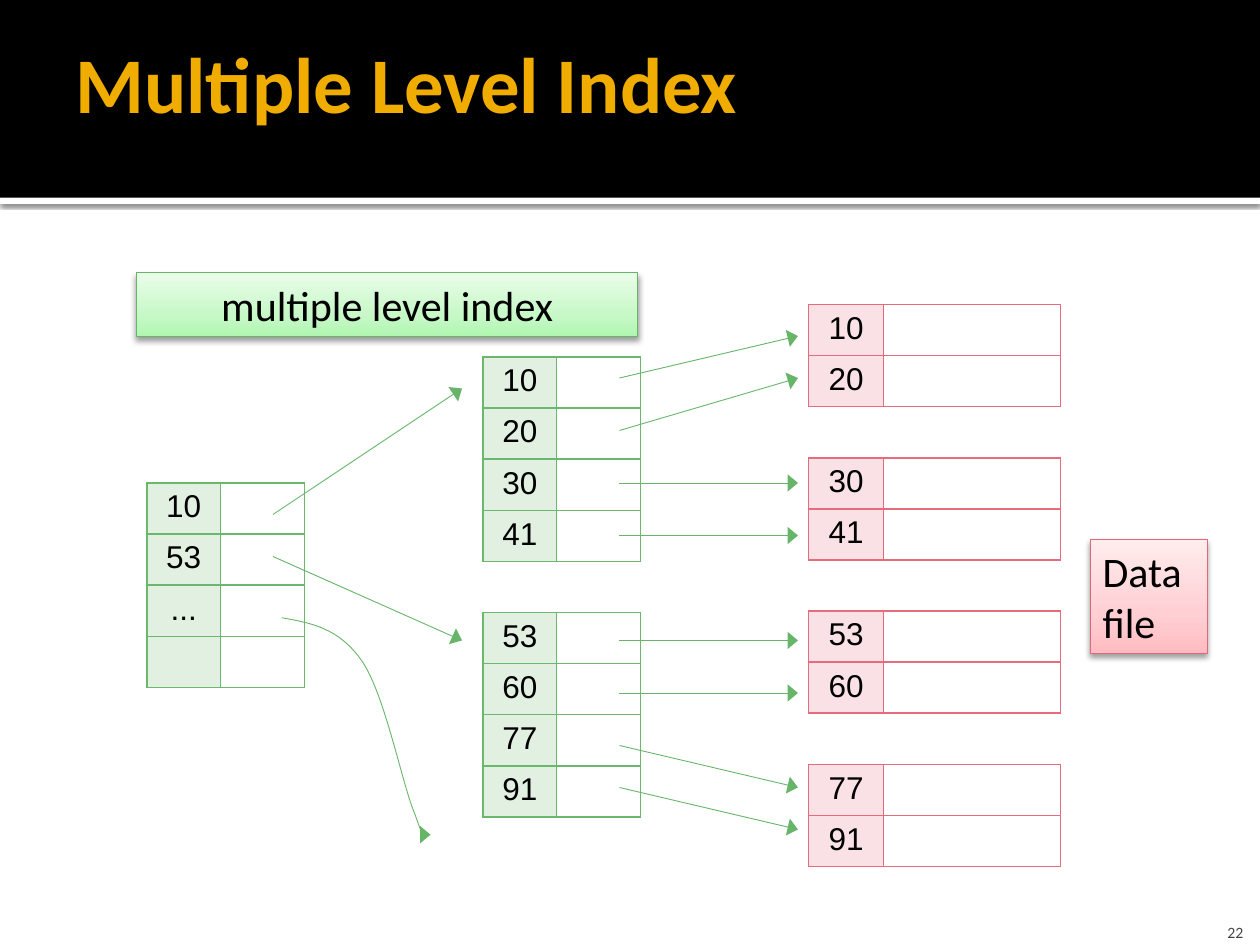
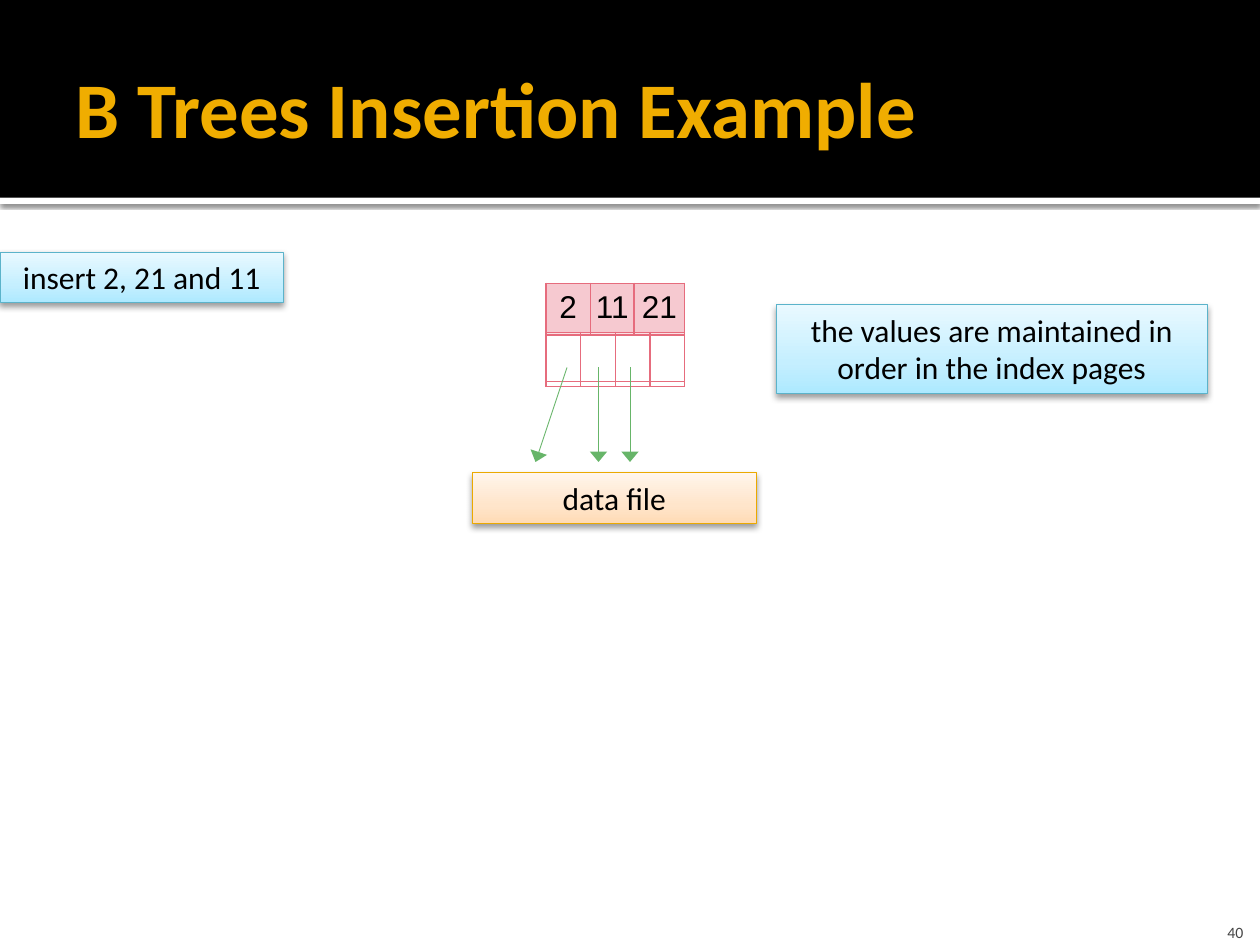
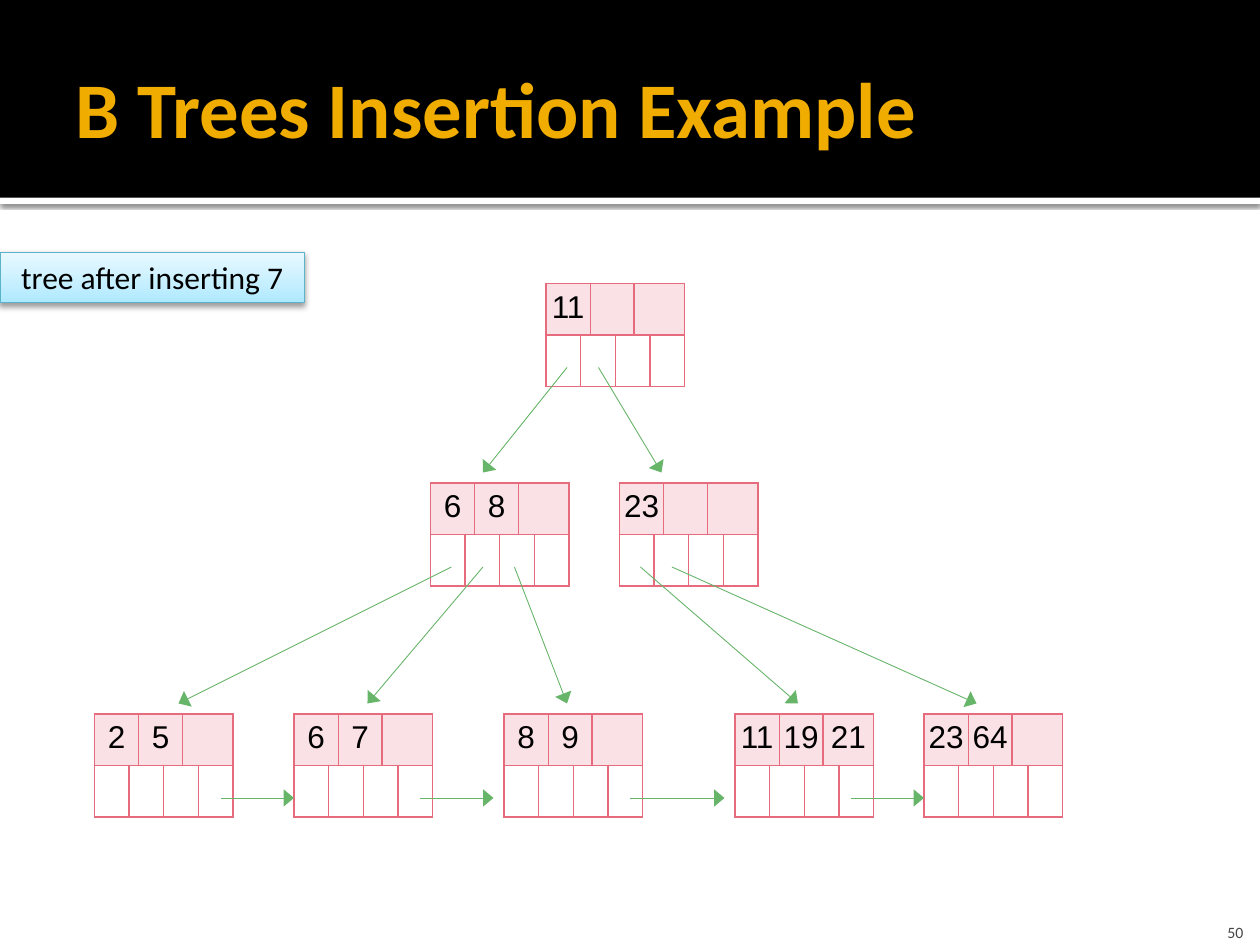
from dataclasses import dataclass
from typing import Any, Optional

from lxml.etree import SubElement
from pptx import Presentation
from pptx.dml.color import RGBColor
from pptx.enum.shapes import MSO_CONNECTOR, MSO_SHAPE
from pptx.enum.text import MSO_ANCHOR, PP_ALIGN
from pptx.oxml import parse_xml
from pptx.oxml.ns import nsdecls, qn
from pptx.util import Pt

# Shared look
HEX = {
    "white": "FFFFFF", "black": "000000", "gold": "F0AD00", "grey": "454545",
    "arrow": "67B569", "green": "6BB76D", "pink": "E66C7D",
}
# Label tones: edge, then gradient from bottom to top
TONES = {
    "green": ("67B569", "B0F6B1", "C8F8C8", "E9FDE9"),
    "pink": ("E46778", "FFBCC2", "FFCFD3", "FFEDEE"),
    "blue": ("5BB3CA", "ADE9FF", "C5EFFF", "E9F9FF"),
    "gold": ("EBA900", "FFDBB5", "FFE5CB", "FFF5EB"),
}
STOPS = (0, 35, 100)
ROW = 29.2
PAIR = (42, 48)
NODE = (19.7, 5.4, 14.3, 10.8, 9, 19.8)
KEYS = ((0, 1), (2, 3), (4, 5))
LINKS = ((0, 0), (1, 2), (3, 4), (5, 5))
CURVE = (
    (160.6, 352.8),
    (177.8, 356.4), (194.4, 359.3), (207.4, 378),
    (220.3, 396.7), (230.4, 448.6), (236.9, 465.1),
    (243.4, 481.7), (244.8, 479.5), (246.2, 477.4),
)


@dataclass
class Label:
    text: str
    box: tuple[float, float, float, float]
    tone: str
    size: float = 18
    align: PP_ALIGN = PP_ALIGN.CENTER


@dataclass
class Index:
    """A list of keys, where None leaves a gap."""
    x: float
    y: float
    keys: list[Optional[str]]
    hue: str = "green"
    cols: tuple[float, float] = PAIR


@dataclass
class Node:
    """A tree node: three keys above four links."""
    x: float
    y: float
    keys: tuple[str, ...] = ()
    row: float = 29.4


@dataclass
class Arrow:
    x1: float
    y1: float
    x2: float
    y2: float


def tint(name: str) -> RGBColor:
    return RGBColor.from_string(HEX[name])


def put(item: Any, **vals: Any) -> None:
    for name, val in vals.items():
        setattr(item, name, val)


def write(frame: Any, text: str, size: float, hue: str = "black",
          face: str = "Calibri", bold: bool = False,
          align: PP_ALIGN = PP_ALIGN.LEFT) -> None:
    line = frame.paragraphs[0]
    line.alignment = align
    run = line.add_run()
    run.text = text
    put(run.font, size=Pt(size), name=face, bold=bold)
    run.font.color.rgb = tint(hue)


def inset(item: Any, left: float, top: float, right: float, base: float) -> None:
    put(item, margin_left=Pt(left), margin_top=Pt(top),
        margin_right=Pt(right), margin_bottom=Pt(base))


def shade(shape: Any, blur: float, dist: float, alpha: int) -> None:
    shape.element.spPr.append(parse_xml(
        f'<a:effectLst {nsdecls("a")}><a:outerShdw blurRad="{Pt(blur)}" '
        f'dist="{Pt(dist)}" dir="5400000" rotWithShape="0">'
        f'<a:srgbClr val="{HEX["black"]}"><a:alpha val="{alpha * 1000}"/>'
        '</a:srgbClr></a:outerShdw></a:effectLst>'))


# Bands behind every slide, kept on the layout
def add_bands(slide: Any, layout: Any) -> None:
    for spot, (top, high, hue) in enumerate(
            [(113, 3.6, "white"), (0, 113, "black")], start=2):
        band = slide.shapes.add_shape(
            MSO_SHAPE.RECTANGLE, 0, Pt(top), Pt(720), Pt(high))
        band.fill.solid()
        band.fill.fore_color.rgb = tint(hue)
        band.line.fill.background()
        if hue == "white":
            shade(band, 2.5, 0.8, 60)
        else:
            band.shadow.inherit = False
        layout.shapes.element.insert(spot, band.element)


def add_title(slide: Any, text: str, box: tuple[float, ...]) -> None:
    title = slide.shapes.title
    left, top, wide, high = map(Pt, box)
    put(title, left=left, top=top, width=wide, height=high)
    frame = title.text_frame
    put(frame, vertical_anchor=MSO_ANCHOR.MIDDLE, word_wrap=True)
    inset(frame, 7.2, 3.6, 3.6, 3.6)
    write(frame, text, 45, "gold", bold=True)


def add_count(slide: Any, count: int) -> None:
    box = slide.shapes.add_textbox(Pt(660), Pt(516.4), Pt(57.6), Pt(21.6))
    frame = box.text_frame
    put(frame, vertical_anchor=MSO_ANCHOR.BOTTOM, word_wrap=True)
    inset(frame, 7.2, 3.6, 7.2, 0)
    write(frame, str(count), 9, "grey", align=PP_ALIGN.RIGHT)


def add_label(slide: Any, label: Label) -> None:
    shape = slide.shapes.add_shape(MSO_SHAPE.RECTANGLE, *map(Pt, label.box))
    edge, *ramp = TONES[label.tone]
    stops = "".join(
        f'<a:gs pos="{pos * 1000}"><a:srgbClr val="{hue}"/></a:gs>'
        for pos, hue in zip(STOPS, ramp))
    shape.element.spPr.append(parse_xml(
        f'<a:gradFill {nsdecls("a")} rotWithShape="1"><a:gsLst>{stops}'
        '</a:gsLst><a:lin ang="16200000" scaled="1"/></a:gradFill>'))
    shape.line.color.rgb = RGBColor.from_string(edge)
    shape.line.width = Pt(0.5)
    shade(shape, 3.5, 2, 38)
    put(shape.text_frame, word_wrap=True, vertical_anchor=MSO_ANCHOR.TOP)
    write(shape.text_frame, label.text, label.size, align=label.align)


# Tables
def add_grid(slide: Any, x: float, y: float, cols: tuple[float, ...],
             count: int, row: float = ROW) -> Any:
    frame = slide.shapes.add_table(
        count, len(cols), Pt(x), Pt(y), Pt(sum(cols)), Pt(row * count))
    grid = frame.table
    put(grid, first_row=False, horz_banding=False)
    for col, wide in zip(grid.columns, cols):
        col.width = Pt(wide)
    for line in grid.rows:
        line.height = Pt(row)
    for cell in grid.iter_cells():
        inset(cell, 1.4, 0, 1.4, 0)
    return frame


def style(cell: Any, hue: str, sides: str = "LRTB") -> None:
    props = cell._tc.get_or_add_tcPr()
    for side in "LRTB":
        ink = (f'<a:solidFill><a:srgbClr val="{HEX[hue]}"/></a:solidFill>'
               if side in sides else "<a:noFill/>")
        props.append(parse_xml(
            f'<a:ln{side} {nsdecls("a")} w="{Pt(1)}">{ink}</a:ln{side}>'))
    cell.fill.background()


def add_key(cell: Any, text: str, hue: str) -> None:
    cell.fill.solid()
    cell.fill.fore_color.rgb = tint(hue)
    clr = next(cell._tc.tcPr.find(qn("a:solidFill")).iterchildren())
    SubElement(clr, qn("a:alpha")).set("val", "20000")
    if text:
        inset(cell, 1.4, 3.6, 1.4, 3.6)
        write(cell.text_frame, text, 18, face="Arial", align=PP_ALIGN.CENTER)


def add_index(slide: Any, index: Index) -> None:
    grid = add_grid(slide, index.x, index.y, index.cols, len(index.keys)).table
    for row, key in enumerate(index.keys):
        first, last = grid.cell(row, 0), grid.cell(row, 1)
        for cell in (first, last):
            style(cell, index.hue, "TB" if key is None else "LRTB")
        if key is None:
            first.merge(last)
        else:
            add_key(first, key, index.hue)


def add_node(slide: Any, node: Node) -> None:
    frame = add_grid(slide, node.x, node.y, NODE, 2, node.row)
    frame.height = Pt(57.6)
    grid = frame.table
    for cell in grid.iter_cells():
        style(cell, "pink")
    for row, spans in enumerate((KEYS, LINKS)):
        for start, end in spans:
            if end > start:
                grid.cell(row, start).merge(grid.cell(row, end))
    for spot, (start, _) in enumerate(KEYS):
        text = node.keys[spot] if spot < len(node.keys) else ""
        add_key(grid.cell(0, start), text, "pink")


# Arrows
def point(line: Any) -> None:
    line.line.color.rgb = tint("arrow")
    line.line.width = Pt(0.5)
    tail = SubElement(line.get_or_add_ln(), qn("a:tailEnd"))
    for name, val in {"type": "triangle", "w": "lg", "len": "med"}.items():
        tail.set(name, val)
    SubElement(line.element.spPr, qn("a:effectLst"))


def add_arrow(slide: Any, arrow: Arrow) -> None:
    ends = map(Pt, (arrow.x1, arrow.y1, arrow.x2, arrow.y2))
    point(slide.shapes.add_connector(MSO_CONNECTOR.STRAIGHT, *ends))


def add_curve(slide: Any) -> None:
    pen = slide.shapes.build_freeform(*CURVE[0], scale=float(Pt(1)))
    pen.add_line_segments(CURVE[1:], close=False)
    curve = pen.convert_to_shape()
    curve.fill.background()
    # Each three line steps become one curve step
    steps = list(curve.element.iter(qn("a:lnTo")))
    for start in range(0, len(steps), 3):
        trio = steps[start:start + 3]
        bend = SubElement(trio[0].getparent(), qn("a:cubicBezTo"))
        for step in trio:
            bend.append(step[0])
            step.getparent().remove(step)
    point(curve)


DRAW = {Label: add_label, Index: add_index, Node: add_node, Arrow: add_arrow}

# Slide parts
LEVELS = [
    Label("multiple level index", (78, 156, 286.5, 36.5), "green", 24),
    Index(462, 174, ["10", "20", None, "30", "41", None, "53", "60", None,
                     "77", "91"], "pink", (43, 101)),
    Index(276, 204, ["10", "20", "30", "41", None, "53", "60", "77", "91"]),
    *[Arrow(354, start, 456, end) for start, end in (
        (216, 192), (246, 216), (276, 276), (306, 306),
        (366, 366), (396, 396), (426, 450), (450, 474))],
    Label("Data file", (623, 308.3, 67, 65.3), "pink", 24, PP_ALIGN.LEFT),
    Index(84, 276, ["10", "53", "...", ""]),
    Arrow(156, 294, 264, 222),
    Arrow(156, 318, 264, 366),
]
INSERT = [
    Node(312, 162, row=28),
    Node(312, 162, ("2", "11", "21")),
    Label("insert 2, 21 and 11", (0, 144, 162, 29), "blue"),
    *[Arrow(start, 210, end, 264)
      for start, end in ((342, 342), (360, 360), (324, 306))],
    Label("data file", (270, 270, 162, 29), "gold"),
    Label("the values are maintained in order in the index pages",
          (443.5, 174, 246.5, 51), "blue"),
]
TREE = [
    Label("tree after inserting 7", (0, 144, 174, 29), "blue"),
    Node(312, 162, ("11",)),
    Node(246, 276, ("6", "8")),
    Node(354, 276, ("23",)),
    *[Node(x, 408, keys) for x, keys in (
        (54, ("2", "5")), (168, ("6", "7")), (288, ("8", "9")),
        (420, ("11", "19", "21")), (528, ("23", "64")))],
    *[Arrow(start, 210, end, 270) for start, end in ((324, 276), (342, 378))],
    *[Arrow(start, 324, end, 402) for start, end in (
        (258, 102), (276, 210), (294, 324), (366, 456), (384, 558))],
    *[Arrow(start, 456, end, 456) for start, end in (
        (126, 168), (240, 282), (360, 414), (486, 528))],
]
TALL = (36, 11.8, 648, 98.6)
SLIDES = [
    ("Multiple Level Index", (36, 9.4, 594, 75), 22, LEVELS),
    ("B Trees Insertion Example", TALL, 40, INSERT),
    ("B Trees Insertion Example", TALL, 50, TREE),
]


def main() -> None:
    deck = Presentation()
    put(deck, slide_width=Pt(720), slide_height=Pt(540))
    layout = deck.slide_layouts.get_by_name("Title Only")
    for text, box, count, parts in SLIDES:
        slide = deck.slides.add_slide(layout)
        if len(deck.slides) == 1:
            add_bands(slide, layout)
        add_title(slide, text, box)
        for part in parts:
            DRAW[type(part)](slide, part)
        if parts is LEVELS:
            add_curve(slide)
        add_count(slide, count)
    deck.save("out.pptx")


if __name__ == "__main__":
    main()
